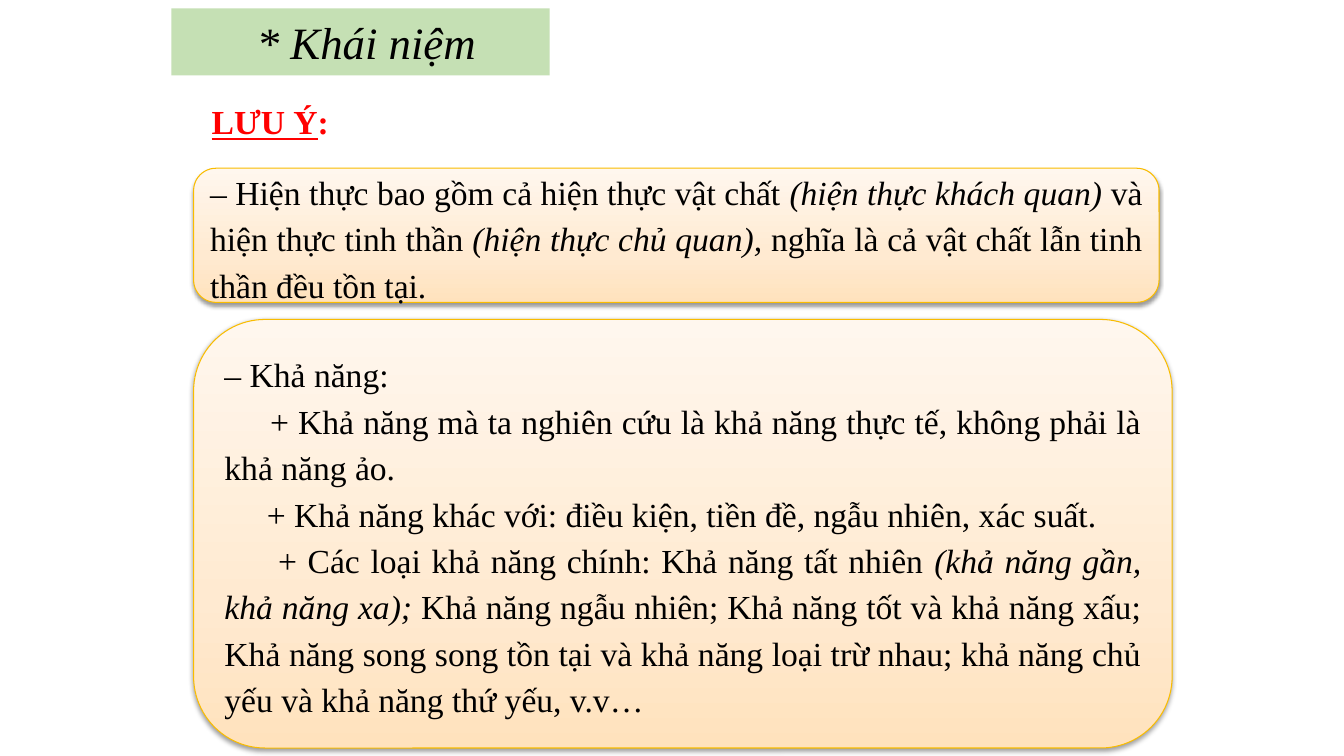
from dataclasses import dataclass

from copy import deepcopy
from lxml.etree import SubElement
from pptx import Presentation
from pptx.dml.color import RGBColor
from pptx.enum.shapes import MSO_SHAPE
from pptx.enum.text import MSO_ANCHOR, MSO_AUTO_SIZE, PP_ALIGN
from pptx.oxml.ns import qn
from pptx.util import Cm, Pt

COLORS = {
    "red": "FF0000", "black": "000000", "green": "C5E0B4", "gold": "F9BC00",
    "peach": "FFE2BD", "cream": "FFEAD1", "ivory": "FFF7EE",
}
FONT = "Times New Roman"
GRADIENT = ((0, "peach"), (0.35, "cream"), (1, "ivory"))


@dataclass
class Run:
    text: str
    italic: bool = False
    bold: bool = False
    underline: bool = False
    size: float = 24
    color: str = "black"


@dataclass
class Para:
    runs: list[Run]
    indent: float = 0


@dataclass
class Card:
    left: float
    top: float
    width: float
    height: float
    paras: list[Para]


CARDS = [
    Card(4.88, 4.24, 24.33, 3.38, [
        Para([
            Run("– Hiện thực bao gồm cả hiện thực vật chất "),
            Run("(hiện thực khách quan)", italic=True),
            Run(" và hiện thực tinh thần "),
            Run("(hiện thực chủ quan),", italic=True),
            Run(" nghĩa là cả vật chất lẫn tinh thần đều tồn tại."),
        ]),
    ]),
    Card(4.88, 8.05, 24.66, 10.8, [
        Para([Run("– Khả năng:")]),
        Para([Run("+ Khả năng mà ta nghiên cứu là khả năng thực tế, "
                  "không phải là khả năng ảo.")], 1.15),
        Para([Run("+ Khả năng khác với: điều kiện, tiền đề, ngẫu nhiên, xác suất.")], 1.07),
        Para([
            Run("+ Các loại khả năng chính: Khả năng tất nhiên "),
            Run("(khả năng gần, khả năng xa);", italic=True),
            Run(" Khả năng ngẫu nhiên; Khả năng tốt và khả năng xấu; "
                "Khả năng song song tồn tại và khả năng loại trừ nhau; "
                "khả năng chủ yếu và khả năng thứ yếu, v.v…"),
        ], 1.35),
    ]),
]


def rgb(name: str) -> RGBColor:
    return RGBColor.from_string(COLORS[name])


def add_runs(p, runs: list[Run]) -> None:
    for run in runs:
        r = p.add_run()
        r.text = run.text
        f = r.font
        f.name, f.size = FONT, Pt(run.size)
        f.bold, f.italic, f.underline = run.bold, run.italic, run.underline
        f.color.rgb = rgb(run.color)


def add_box(s, kind: MSO_SHAPE, left: float, top: float, width: float, height: float):
    sp = s.shapes.add_shape(kind, Cm(left), Cm(top), Cm(width), Cm(height))
    sp.shadow.inherit = False
    sp.text_frame.word_wrap = True
    sp.text_frame.vertical_anchor = MSO_ANCHOR.MIDDLE
    return sp


def fill_gradient(sp) -> None:
    sp.fill.gradient()
    stops = sp.element.spPr.find(".//" + qn("a:gsLst"))
    stops.append(deepcopy(stops[0]))
    for stop, (position, color) in zip(sp.fill.gradient_stops, GRADIENT):
        stop.position = position
        stop.color.rgb = rgb(color)
    sp.fill.gradient_angle = 90


def add_shadow(sp) -> None:
    effects = sp.element.spPr.find(qn("a:effectLst"))
    shadow = SubElement(effects, qn("a:outerShdw"), blurRad=str(Pt(3.1)),
                        dist=str(Pt(1.6)), dir="5400000", rotWithShape="0")
    color = SubElement(shadow, qn("a:srgbClr"), val=COLORS["black"])
    SubElement(color, qn("a:alpha"), val="38000")


def add_card(s, card: Card) -> None:
    sp = add_box(s, MSO_SHAPE.ROUNDED_RECTANGLE, card.left, card.top, card.width, card.height)
    fill_gradient(sp)
    sp.line.color.rgb = rgb("gold")
    sp.line.width = Pt(0.75)
    add_shadow(sp)
    tf = sp.text_frame
    for i, para in enumerate(card.paras):
        p = tf.add_paragraph() if i else tf.paragraphs[0]
        p.alignment = PP_ALIGN.JUSTIFY
        p.line_spacing = 1.15
        if para.indent:
            p._p.get_or_add_pPr().set("indent", str(Cm(para.indent)))
        add_runs(p, para.runs)


def add_title(s) -> None:
    sp = s.shapes.title
    sp.left, sp.top, sp.width, sp.height = Cm(5.08), Cm(2.34), Cm(22.86), Cm(1.57)
    tf = sp.text_frame
    tf.auto_size = MSO_AUTO_SIZE.NONE
    tf.vertical_anchor = MSO_ANCHOR.MIDDLE
    p = tf.paragraphs[0]
    p.alignment = PP_ALIGN.LEFT
    p.line_spacing = 0.9
    add_runs(p, [Run("LƯU Ý", bold=True, underline=True, color="red"),
                 Run(":", bold=True, color="red")])


def add_heading(s) -> None:
    sp = add_box(s, MSO_SHAPE.RECTANGLE, 4.32, 0.21, 9.53, 1.69)
    sp.fill.solid()
    sp.fill.fore_color.rgb = rgb("green")
    sp.line.fill.background()
    sp.text_frame.margin_left = Cm(0.55)
    p = sp.text_frame.paragraphs[0]
    p.alignment = PP_ALIGN.CENTER
    add_runs(p, [Run("* Khái niệm", italic=True, size=32)])


def main() -> None:
    """Build the slide on the concept of possibility and reality."""
    prs = Presentation()
    prs.slide_width, prs.slide_height = Cm(33.87), Cm(19.05)
    s = prs.slides.add_slide(prs.slide_layouts[5])
    add_title(s)
    for card in CARDS:
        add_card(s, card)
    add_heading(s)
    prs.save("out.pptx")


if __name__ == "__main__":
    main()
